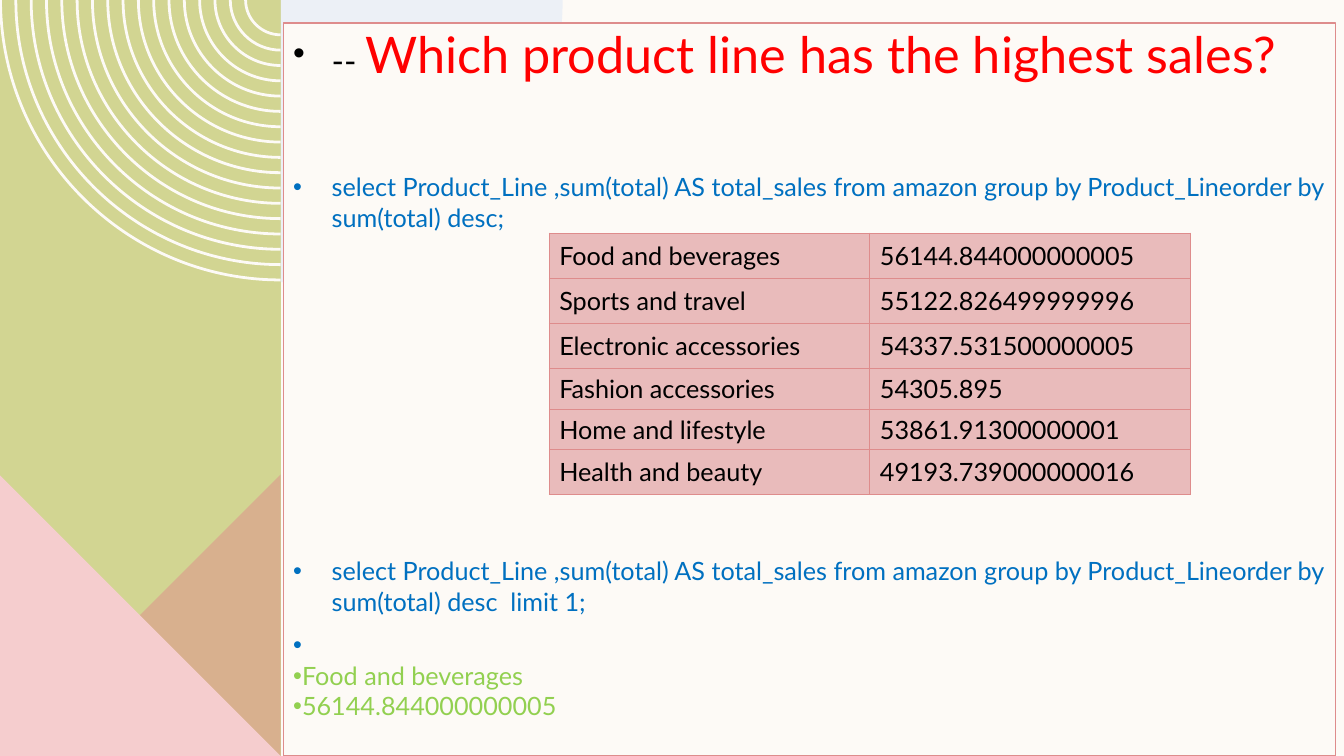
from dataclasses import dataclass
from itertools import takewhile

from lxml.etree import SubElement
from pptx import Presentation
from pptx.dml.color import RGBColor
from pptx.enum.text import MSO_ANCHOR, MSO_AUTO_SIZE, PP_ALIGN
from pptx.oxml.ns import qn
from pptx.util import Cm, Pt


@dataclass(frozen=True)
class Theme:
    font: str = "Lato"
    paper: str = "FDFAF6"
    green: str = "D2D592"
    rose: str = "DE8C8C"
    pink: str = "F5CDCE"
    blue: str = "DDE7F6"
    cell: str = "E9BBBB"
    black: str = "000000"
    question: str = "FF0000"
    query: str = "0070C0"
    answer: str = "92D050"
    question_size: int = 36
    dash_size: int = 24
    text_size: int = 18


theme = Theme()


def add_outline(contours, color, opacity=100, curved=False):
    """Draw closed contours (points in cm) as one shape.

    In a curved contour every run of four points is a Bezier curve.
    """
    builder = None
    for contour in contours:
        points = [(Cm(x), Cm(y)) for x, y in contour]
        if builder is None:
            builder = slide.shapes.build_freeform(*points[0])
        else:
            builder.move_to(*points[0])
        builder.add_line_segments(points[1:], close=True)
    shape = builder.convert_to_shape()
    shape.shadow.inherit = False
    shape.line.fill.background()
    shape.fill.solid()
    shape.fill.fore_color.rgb = RGBColor.from_string(color)
    if opacity < 100:
        color_element = shape.element.spPr.find(qn("a:solidFill"))[0]
        SubElement(color_element, qn("a:alpha"), val=str(opacity * 1000))
    if not curved:
        return
    for start in list(shape.element.iter(qn("a:moveTo"))):
        outline = start.getparent()
        lines = list(takewhile(lambda item: item.tag == qn("a:lnTo"), start.itersiblings()))
        for first in range(0, len(lines) - 2, 4):
            curve = SubElement(outline, qn("a:cubicBezTo"))
            lines[first].addprevious(curve)
            for line in lines[first:first + 3]:
                curve.append(line[0])
                outline.remove(line)


def add_run(paragraph, text, size, color):
    run = paragraph.add_run()
    run.text = text
    run.font.name = theme.font
    run.font.size = Pt(size)
    run.font.color.rgb = RGBColor.from_string(color)


presentation = Presentation()
presentation.slide_width = Cm(33.87)
presentation.slide_height = Cm(19.05)
slide = presentation.slides.add_slide(presentation.slide_layouts[1])
slide.background.fill.solid()
slide.background.fill.fore_color.rgb = RGBColor.from_string(theme.paper)

# Side panel with rings and triangles
LEFT, EDGE, BOTTOM, TRIANGLE_TOP = -0.02, 7.07, 19.05, 11.96
add_outline([[(LEFT, 0), (EDGE, 0), (EDGE, BOTTOM), (LEFT, BOTTOM)]], theme.green)

QUARTER_CIRCLE = [(1, 0), (1, 0.55), (0.55, 1), (0, 1)]
rings = []
for ring in range(17):
    outer = 7.09 - ring * 0.386
    inner = outer - 0.07
    rings.append(
        [(EDGE - outer * x, outer * y) for x, y in QUARTER_CIRCLE]
        + [(EDGE - inner * x, inner * y) for x, y in reversed(QUARTER_CIRCLE)]
    )
add_outline(rings, theme.paper, curved=True)

add_outline([[(EDGE, TRIANGLE_TOP), (EDGE, BOTTOM), (LEFT, BOTTOM)]], theme.rose, 50)
add_outline([[(LEFT, TRIANGLE_TOP), (EDGE, BOTTOM), (LEFT, BOTTOM)]], theme.pink)
sector = [(EDGE + 7.11 * x, 7.11 * y) for x, y in QUARTER_CIRCLE + [(0, 0)]]
add_outline([sector], theme.blue, 50, curved=True)

# Question, queries and answer
title, body = slide.placeholders
slide.shapes.element.remove(title.element)
slide.shapes.element.append(body.element)
body.left, body.top, body.width, body.height = Cm(7.14), Cm(0.58), Cm(26.52), Cm(18.47)
body.fill.solid()
body.fill.fore_color.rgb = RGBColor.from_string(theme.paper)
body.line.color.rgb = RGBColor.from_string(theme.rose)
body.line.width = Pt(1)
frame = body.text_frame
frame.word_wrap = True
frame.auto_size = MSO_AUTO_SIZE.NONE
frame.vertical_anchor = MSO_ANCHOR.TOP
frame.margin_left = frame.margin_right = Cm(0.25)
frame.margin_top = frame.margin_bottom = 0

query = (
    "select Product_Line ,sum(total) AS total_sales from amazon "
    "group by Product_Lineorder by sum(total) desc"
)
# Each line: space before in points, hanging indent in cm, runs
lines = [
    (0, 0.97, [
        ("-- ", theme.dash_size, theme.black),
        ("Which product line has the highest sales?", theme.question_size, theme.question),
    ]),
    (63, 0.97, [(query + ";", theme.text_size, theme.query)]),
    (231, 0.97, [(query + "  limit 1;", theme.text_size, theme.query)]),
    (10, 0.97, [(" ", theme.text_size, theme.query)]),
    (0, 0, [("Food and beverages", theme.text_size, theme.answer)]),
    (0, 0, [("56144.844000000005", theme.text_size, theme.answer)]),
]
for index, (space_before, indent, runs) in enumerate(lines):
    paragraph = frame.add_paragraph() if index else frame.paragraphs[0]
    properties = paragraph._p.get_or_add_pPr()
    properties.set("marL", str(Cm(indent)))
    properties.set("indent", str(-Cm(indent)))
    SubElement(properties, qn("a:buFont"), typeface="Arial")
    SubElement(properties, qn("a:buChar"), char="•")
    paragraph.alignment = PP_ALIGN.LEFT
    paragraph.line_spacing = 1.0
    paragraph.space_before = Pt(space_before)
    paragraph.space_after = Pt(0)
    for text, size, color in runs:
        add_run(paragraph, text, size, color)

# Sales by product line
sales = [
    ("Food and beverages", "56144.844000000005", 1.14),
    ("Sports and travel", "55122.826499999996", 1.14),
    ("Electronic accessories", "54337.531500000005", 1.14),
    ("Fashion accessories", "54305.895", 1.02),
    ("Home and lifestyle", "53861.91300000001", 1.02),
    ("Health and beauty", "49193.739000000016", 1.14),
]
table_height = sum(height for _, _, height in sales)
table = slide.shapes.add_table(
    len(sales), 2, Cm(13.84), Cm(5.87), Cm(16.16), Cm(table_height)
).table
table.first_row = table.horz_banding = False
for row, (product_line, total, height) in zip(table.rows, sales):
    row.height = Cm(height)
    for cell, text in zip(row.cells, (product_line, total)):
        cell.vertical_anchor = MSO_ANCHOR.MIDDLE
        cell_properties = cell._tc.get_or_add_tcPr()
        for side in ("lnL", "lnR", "lnT", "lnB"):
            border = SubElement(cell_properties, qn("a:" + side), w=str(Pt(0.5)))
            border_fill = SubElement(border, qn("a:solidFill"))
            SubElement(border_fill, qn("a:srgbClr"), val=theme.rose)
        cell.fill.solid()
        cell.fill.fore_color.rgb = RGBColor.from_string(theme.cell)
        add_run(cell.text_frame.paragraphs[0], text, theme.text_size, theme.black)

presentation.save("out.pptx")
